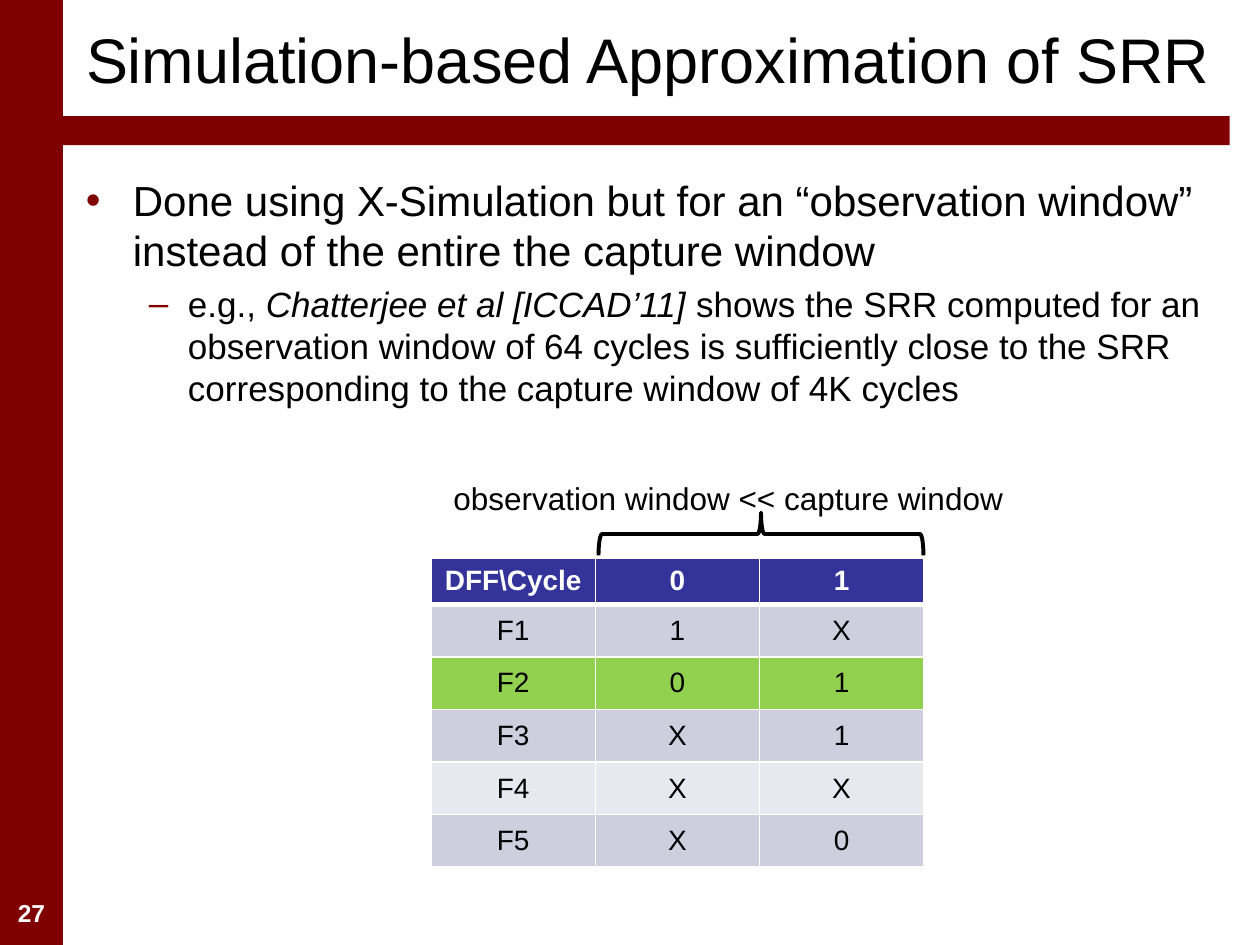
from lxml import etree
from pptx import Presentation
from pptx import util as u
from pptx.dml.color import RGBColor
from pptx.enum import shapes, text
from pptx.oxml import ns

COLORS = {
    "maroon": "800000", "black": "000000", "white": "FFFFFF", "header": "333399",
    "band": "CECEDE", "light": "E8E8EF", "highlight": "92D050",
}


def rgb(name):
    return RGBColor.from_string(COLORS[name])


def write(para, words, size=18, color="black", bold=False, italic=False, align=text.PP_ALIGN.LEFT):
    para.alignment = align
    span = para.add_run()
    span.text = words
    font = span.font
    font.name, font.size, font.bold, font.italic = "Arial", u.Pt(size), bold, italic
    font.color.rgb = rgb(color)


deck = Presentation()
deck.slide_width, deck.slide_height = u.Cm(25.4), u.Cm(19.05)
page = deck.slides.add_slide(deck.slide_layouts[5])

# Side bar and title rule
for left, top, width, height in [(0, 0, 1.27, 19.05), (1.07, 2.34, 23.72, 0.59)]:
    bar = page.shapes.add_shape(shapes.MSO_SHAPE.RECTANGLE, u.Cm(left), u.Cm(top), u.Cm(width), u.Cm(height))
    bar.shadow.inherit = False
    bar.fill.solid()
    bar.fill.fore_color.rgb = rgb("maroon")
    bar.line.fill.background()

# Title
title = page.shapes.title
title.left, title.top, title.width, title.height = u.Cm(1.48), u.Cm(-0.2), u.Cm(23.28), u.Cm(2.74)
title.text_frame.auto_size = text.MSO_AUTO_SIZE.NONE
title.text_frame.vertical_anchor = text.MSO_ANCHOR.MIDDLE
write(title.text_frame.paragraphs[0], "Simulation-based Approximation of SRR", size=36)

# Text boxes: page number, body, brace label
frames = []
for left, top, width, height in [(0, 17.98, 1.27, 0.84), (1.48, 3.39, 23.28, 14.8), (8.89, 9.53, 12.7, 1.02)]:
    box = page.shapes.add_textbox(u.Cm(left), u.Cm(top), u.Cm(width), u.Cm(height))
    box.text_frame.word_wrap = True
    frames.append(box.text_frame)
number, body, label = frames
write(number.paragraphs[0], "27", size=14, color="white", bold=True, align=text.PP_ALIGN.CENTER)
write(label.paragraphs[0], "observation window << capture window")

# Bulleted body: mark, size, margin and hanging indent in cm, spans with italic flag
bullets = [
    ("•", 24, 0.95, 0.95, [
        ("Done using X-Simulation but for an “observation window” instead of the entire the capture window", False),
    ]),
    ("–", 20, 2.06, 0.79, [
        ("e.g., ", False),
        ("Chatterjee et al [ICCAD’11]", True),
        (" shows the SRR computed for an observation window of 64 cycles is sufficiently close to the SRR "
         "corresponding to the capture window of 4K cycles", False),
    ]),
]
for level, (mark, size, margin, hanging, spans) in enumerate(bullets):
    para = body.add_paragraph() if level else body.paragraphs[0]
    para.level = level
    para.space_before = u.Pt(size * 0.2)
    for words, italic in spans:
        write(para, words, size=size, italic=italic)
    props = para._p.get_or_add_pPr()
    props.set("marL", str(u.Cm(margin)))
    props.set("indent", str(-u.Cm(hanging)))
    bullet_color = etree.SubElement(props, ns.qn("a:buClr"))
    etree.SubElement(bullet_color, ns.qn("a:srgbClr"), val=COLORS["maroon"])
    etree.SubElement(props, ns.qn("a:buFont"), typeface="Arial")
    etree.SubElement(props, ns.qn("a:buChar"), char=mark)

# Flip-flop state table
rows = [
    ("header", "DFF\\Cycle", "0", "1"),
    ("band", "F1", "1", "X"),
    ("highlight", "F2", "0", "1"),
    ("band", "F3", "X", "1"),
    ("light", "F4", "X", "X"),
    ("band", "F5", "X", "0"),
]
table = page.shapes.add_table(len(rows), 3, u.Cm(8.69), u.Cm(11.25), u.Cm(9.93), u.Cm(6.2)).table
for column in table.columns:
    column.width = u.Cm(3.31)
for r, (fill, *values) in enumerate(rows):
    header = r == 0
    table.rows[r].height = u.Cm(0.86 if header else 1.06)
    for c, value in enumerate(values):
        cell = table.cell(r, c)
        cell.vertical_anchor = text.MSO_ANCHOR.MIDDLE
        write(cell.text_frame.paragraphs[0], value, size=16, bold=header,
              color="white" if header else "black", align=text.PP_ALIGN.CENTER)
        props = cell._tc.get_or_add_tcPr()
        for side in ("lnL", "lnR", "lnT", "lnB"):
            thick = (header and side == "lnB") or (r == 1 and side == "lnT")
            edge = etree.SubElement(props, ns.qn("a:" + side), w=str(u.Pt(3 if thick else 1)))
            paint = etree.SubElement(edge, ns.qn("a:solidFill"))
            etree.SubElement(paint, ns.qn("a:srgbClr"), val=COLORS["white"])
        cell.fill.solid()
        cell.fill.fore_color.rgb = rgb(fill)

# Brace over the cycle columns
brace = page.shapes.add_shape(shapes.MSO_SHAPE.LEFT_BRACE, u.Cm(14.91), u.Cm(7.49), u.Cm(0.86), u.Cm(6.55))
brace.rotation = 90
brace.shadow.inherit = False
brace.fill.background()
brace.line.color.rgb = rgb("black")
brace.line.width = u.Pt(2.25)

deck.save("out.pptx")
